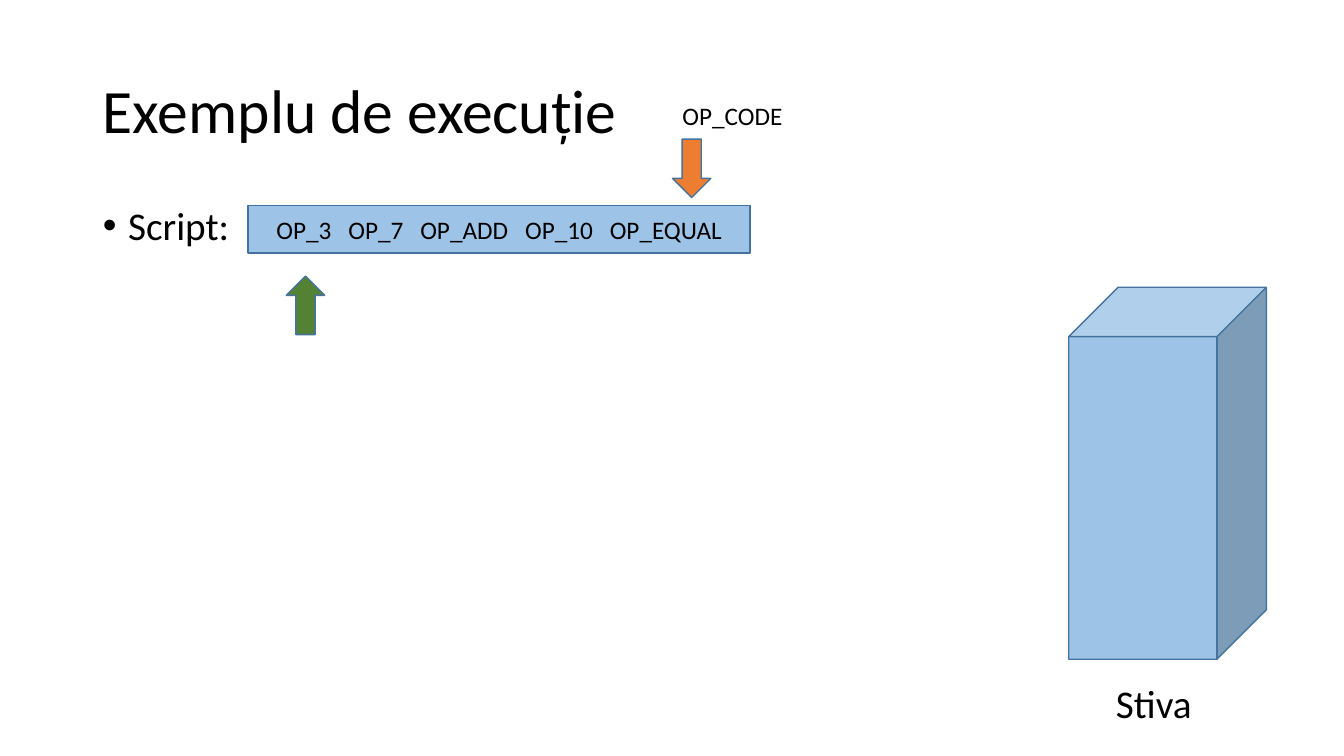
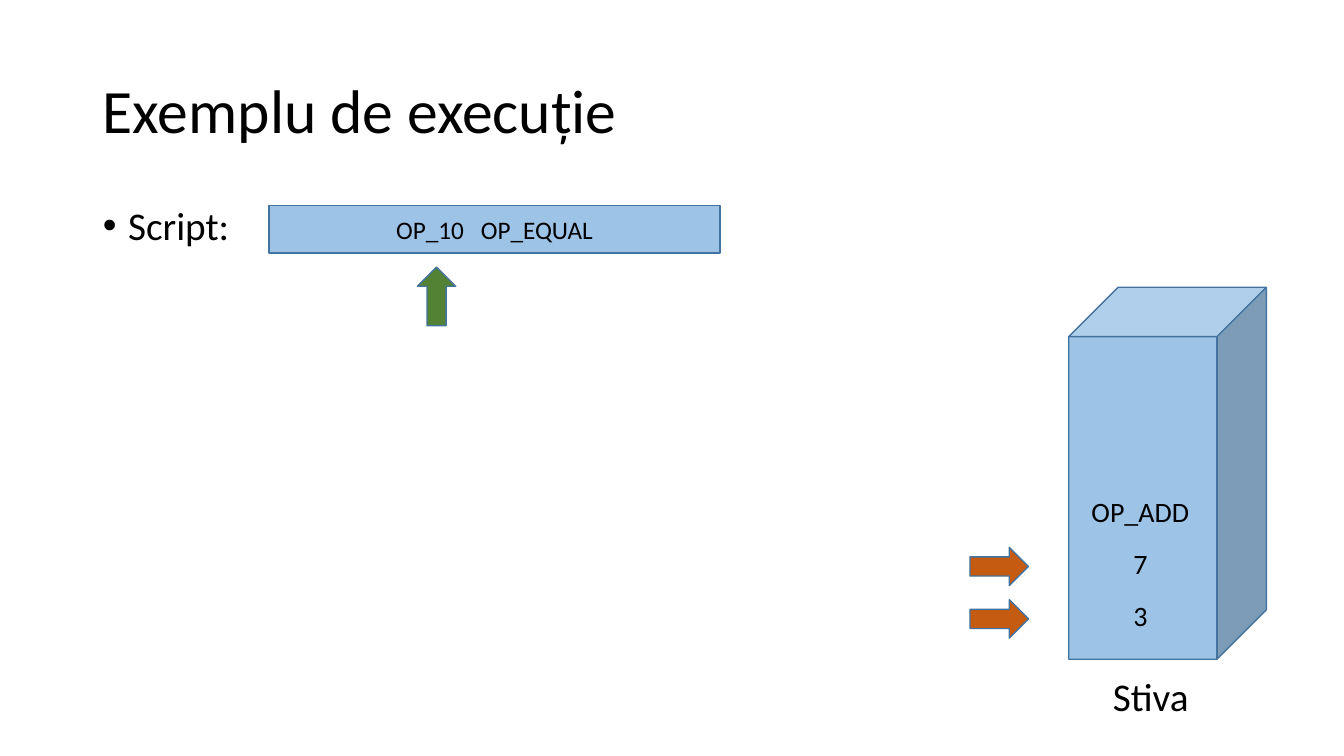
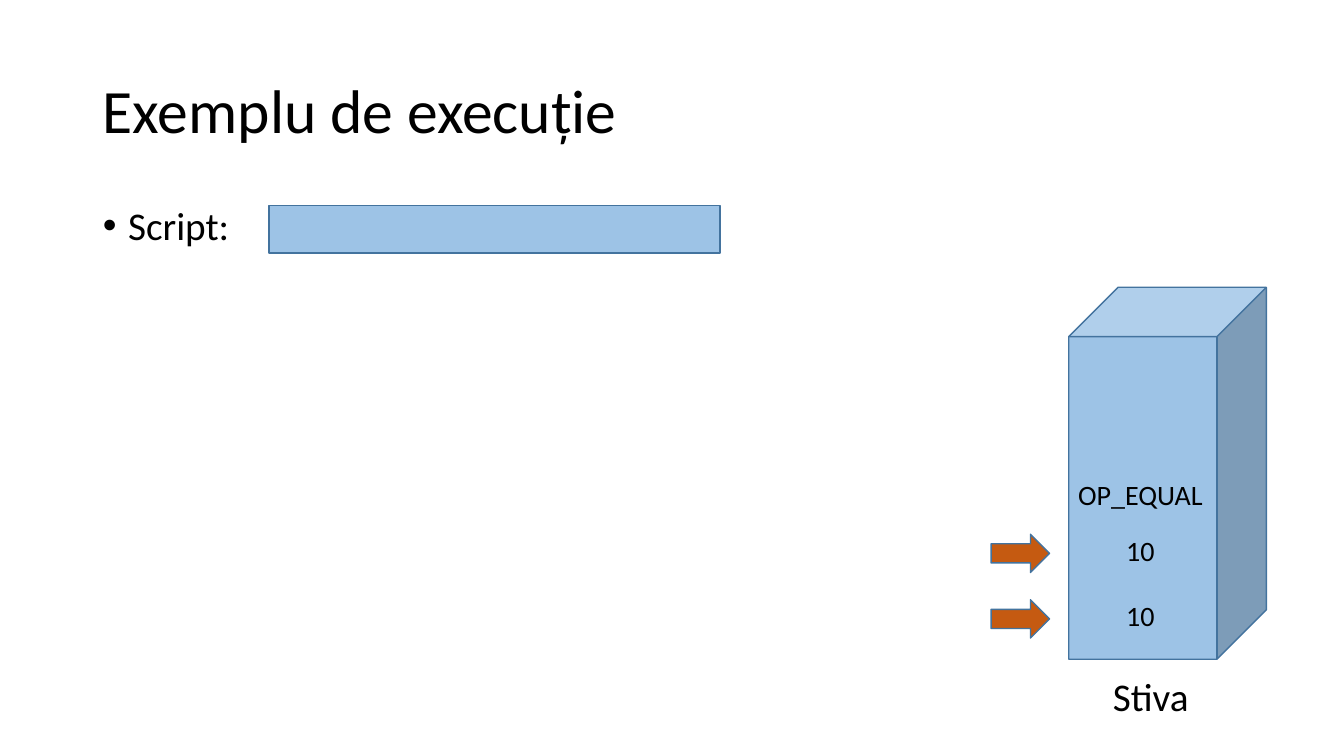
from dataclasses import dataclass

from pptx import Presentation
from pptx.dml.color import RGBColor
from pptx.enum.shapes import MSO_SHAPE
from pptx.enum.text import MSO_ANCHOR, PP_ALIGN
from pptx.util import Inches, Pt


@dataclass(frozen=True)
class Theme:
    font: str = "Calibri"
    ink: str = "000000"
    fill: str = "9DC3E6"
    edge: str = "43739E"
    next: str = "548235"
    code: str = "ED7D31"
    operand: str = "C55A11"
    title: int = 44
    body: int = 28
    value: int = 20
    op: int = 18
    gap: int = 8  # extra points after the space between two operations


T = Theme()

# Content: bar and label places, then the script, pointers and stack rows
TITLE, ITEM, STACK = "Exemplu de execuție", "Script:", "Stiva"
SLIDES = [
    dict(bar=(2.46, 4.98), label=(10.97, 6.69),
         ops=["OP_3", "OP_7", "OP_ADD", "OP_10", "OP_EQUAL"],
         arrows=[(2.84, 2.74, 0, T.next), (6.67, 1.38, 180, T.code)],
         note=("OP_CODE", 6.67, 0.95), rows=[]),
    dict(bar=(2.67, 4.47), label=(10.94, 6.62),
         ops=["OP_10", "OP_EQUAL"],
         arrows=[(4.14, 2.65, 0, T.next)],
         rows=[("OP_ADD", 4.86), ("7", 5.37), ("3", 5.89)], side=9.72),
    dict(bar=(2.67, 4.47), label=(10.94, 6.62), ops=[], arrows=[],
         rows=[("OP_EQUAL", 4.69), ("10", 5.24), ("10", 5.89)], side=9.93),
]

# Shared places, in inches
WIDE, HIGH = 13.33, 7.5
EDGE = 0.92
HEAD = (EDGE, 0.4, 11.5, 1.45)
BODY = (EDGE, 2, 11.5, 4.76)
CUBE = (10.6, 2.85, 1.96, 3.69)
BAR_TOP, BAR_HIGH = 2.04, 0.47
ARROW = (0.38, 0.58)
ROW_MID, ROW_WIDE, ROW_HIGH = 11.31, 1.62, 0.44
LIFT = 0.04  # an arrow starts this far above its row


def place(item, box):
    item.left, item.top, item.width, item.height = map(Inches, box)


def style(para, size):
    for run in para.runs:
        run.font.name, run.font.size = T.font, Pt(size)
        run.font.color.rgb = RGBColor.from_string(T.ink)


def draw(slide, kind, box, fill=T.fill, turn=0):
    shape = slide.shapes.add_shape(kind, *map(Inches, box))
    shape.shadow.inherit = False
    shape.fill.solid()
    shape.fill.fore_color.rgb = RGBColor.from_string(fill)
    shape.line.color.rgb = RGBColor.from_string(T.edge)
    shape.line.width = Pt(1)
    shape.rotation = turn
    return shape


def write(slide, text, box, size, align=PP_ALIGN.LEFT):
    frame = slide.shapes.add_textbox(*map(Inches, box)).text_frame
    frame.word_wrap = True
    frame.text = text
    frame.paragraphs[0].alignment = align
    style(frame.paragraphs[0], size)


def fill_bar(bar, ops):
    para = bar.text_frame.paragraphs[0]
    para.alignment = PP_ALIGN.CENTER
    for i, op in enumerate(ops):
        if i:
            space = para.add_run()
            space.text = " "
            space.font._element.set("spc", str(T.gap * 100))
        para.add_run().text = op
    style(para, T.op)


def fill_holders(slide):
    for holder, text, size in zip(slide.placeholders, (TITLE, ITEM), (T.title, T.body)):
        holder.text_frame.text = text
        para = holder.text_frame.paragraphs[0]
        para.line_spacing = 0.9
        para.alignment = PP_ALIGN.LEFT
        style(para, size)
    slide.shapes.title.text_frame.vertical_anchor = MSO_ANCHOR.MIDDLE
    # The list item keeps the template's bullet
    para.space_before = Pt(10)
    props = para._p.get_or_add_pPr()
    props.set("marL", str(Inches(0.25)))
    props.set("indent", str(Inches(-0.25)))


def build(deck, layout, data):
    slide = deck.slides.add_slide(layout)
    fill_holders(slide)

    # Stack and script bar
    draw(slide, MSO_SHAPE.CUBE, CUBE)
    left, width = data["bar"]
    bar = draw(slide, MSO_SHAPE.RECTANGLE, (left, BAR_TOP, width, BAR_HIGH))
    fill_bar(bar, data["ops"])
    write(slide, STACK, (*data["label"], 1.96, 0.57), T.body)

    # Stack rows; the operands below the top row get an arrow
    arrows = list(data["arrows"])
    for i, (text, top) in enumerate(data["rows"]):
        box = (ROW_MID - ROW_WIDE / 2, top, ROW_WIDE, ROW_HIGH)
        write(slide, text, box, T.value, PP_ALIGN.CENTER)
        if i:
            arrows.append((data["side"], top - LIFT, 90, T.operand))

    # Arrows and their note
    for left, top, turn, fill in arrows:
        draw(slide, MSO_SHAPE.UP_ARROW, (left, top, *ARROW), fill, turn)
    if "note" in data:
        text, left, top = data["note"]
        write(slide, text, (left, top, 1.22, 0.4), T.op)


def main():
    deck = Presentation()
    deck.slide_width, deck.slide_height = Inches(WIDE), Inches(HIGH)
    layout = deck.slide_layouts[1]
    for holder, box in zip(layout.placeholders, (HEAD, BODY)):
        place(holder, box)
    for data in SLIDES:
        build(deck, layout, data)
    deck.save("out.pptx")


if __name__ == "__main__":
    main()
